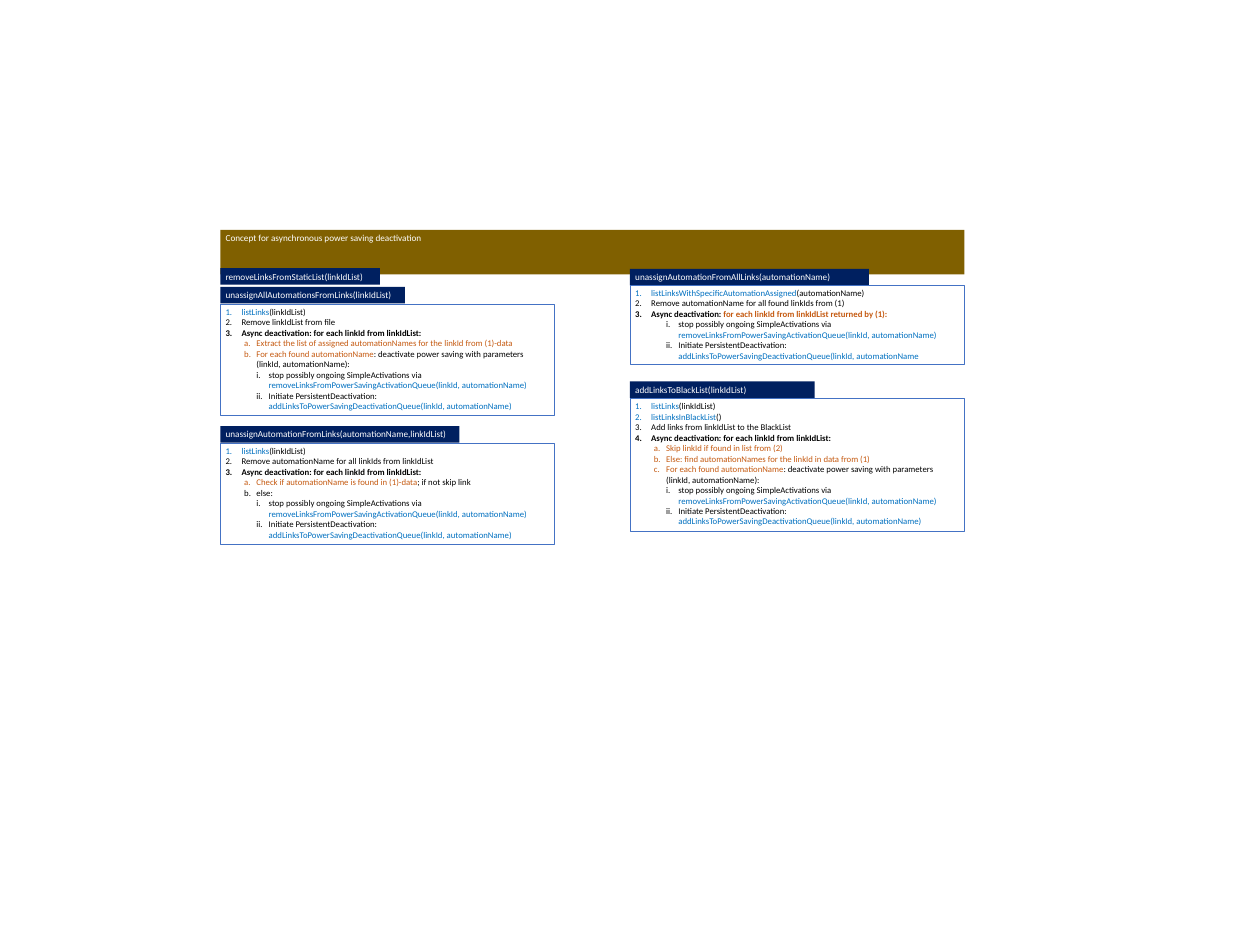
"""Build the slide on asynchronous power saving deactivation."""
from lxml.etree import SubElement
from pptx import Presentation
from pptx.dml.color import RGBColor as Rgb
from pptx.enum.shapes import MSO_SHAPE as Shape
from pptx.enum.text import MSO_ANCHOR as Anchor, MSO_AUTO_SIZE as Fit, PP_ALIGN as Align
from pptx.oxml.ns import qn
from pptx.util import Pt

PX = 9144
HEX = {"navy": "002060", "gold": "806000", "edge": "4472C4", "white": "FFFFFF",
       "black": "000000", "blue": "0070C0", "rust": "C55A11"}
MARKS = [("arabicPeriod", 30, -30), ("alphaLcPeriod", 58, -23), ("romanLcPeriod", 81, -23)]


def style(shape, place, fill=None, line=None):
    shape.left, shape.top, shape.width, shape.height = [n * PX for n in place]
    if fill:
        shape.fill.solid()
        shape.fill.fore_color.rgb = Rgb.from_string(HEX[fill])
    else:
        shape.fill.background()
    if line:
        shape.line.color.rgb = Rgb.from_string(HEX[line])
        shape.line.width = Pt(0.75)
    else:
        shape.line.fill.background()
    shape.shadow.inherit = False
    frame = shape.text_frame
    frame.word_wrap = True
    frame.auto_size = Fit.SHAPE_TO_FIT_TEXT
    frame.vertical_anchor = Anchor.TOP


def write(shape, *parts, size=12.4, bold=False, level=None):
    frame = shape.text_frame
    para = frame.paragraphs[0] if not frame.text else frame.add_paragraph()
    para.alignment = Align.LEFT
    if level is not None:
        kind, left, hang = MARKS[level]
        para.level = level
        props = para._p.get_or_add_pPr()
        props.set("marL", str(left * PX))
        props.set("indent", str(hang * PX))
        SubElement(props, qn("a:buFont"), typeface="+mj-lt")
        SubElement(props, qn("a:buAutoNum"), type=kind)
    for text, color in parts:
        run = para.add_run()
        run.text = text
        run.font.name = "Calibri"
        run.font.size = Pt(size)
        run.font.bold = bold
        run.font.color.rgb = Rgb.from_string(HEX[color])


deck = Presentation()
deck.slide_width, deck.slide_height = 2362 * PX, 1772 * PX
slide = deck.slides.add_slide(deck.slide_layouts[5])

title = slide.shapes.title
style(title, (413, 431, 1395, 31), fill="gold")
write(title, ("Concept for asynchronous power saving deactivation", "white"))

heads = [
    (413, 503, 299, "removeLinksFromStaticList(linkIdList)"),
    (413, 538, 346, "unassignAllAutomationsFromLinks(linkIdList)"),
    (413, 799, 448, "unassignAutomationFromLinks(automationName,linkIdList)"),
    (1181, 504, 448, "unassignAutomationFromAllLinks(automationName)"),
    (1181, 715, 346, "addLinksToBlackList(linkIdList)"),
]
for left, top, width, text in heads:
    head = slide.shapes.add_shape(Shape.RECTANGLE, 0, 0, PX, PX)
    style(head, (left, top, width, 31), fill="navy")
    write(head, (text, "white"))

fetch = (0, ("listLinks", "blue"), ("(linkIdList)", "black"))
start = (0, ("Async deactivation: for each linkId from linkIdList:", "black"))
found = (1, ("For each found automationName", "rust"),
         (": deactivate power saving with parameters (linkId, automationName):", "black"))
stop = (2, ("stop possibly ongoing SimpleActivations via ", "black"),
        ("removeLinksFromPowerSavingActivationQueue(linkId, automationName)", "blue"))
begin = ("Initiate PersistentDeactivation: ", "black")
queue = "addLinksToPowerSavingDeactivationQueue(linkId, automationName"
last = (2, begin, (queue + ")", "blue"))

boxes = [
    (413, 570, 209, [
        fetch,
        (0, ("Remove linkIdList from file", "black")),
        start,
        (1, ("Extract the list of assigned automationNames for the linkId from (1)-data", "rust")),
        found, stop, last]),
    (413, 831, 189, [
        fetch,
        (0, ("Remove automationName for all linkIds from linkIdList", "black")),
        start,
        (1, ("Check if automationName is found in (1)-data", "rust"), ("; if not skip link", "black")),
        (1, ("else:", "black")),
        stop, last]),
    (1181, 534, 149, [
        (0, ("listLinksWithSpecificAutomationAssigned", "blue"), ("(automationName)", "black")),
        (0, ("Remove automationName for all found linkIds from (1)", "black")),
        (0, ("Async deactivation: ", "black"),
         ("for each linkId from linkIdList returned by (1):", "rust")),
        stop,
        (2, begin, (queue, "blue"))]),
    (1181, 747, 249, [
        fetch,
        (0, ("listLinksInBlackList", "blue"), ("()", "black")),
        (0, ("Add links from linkIdList to the BlackList", "black")),
        start,
        (1, ("Skip linkId if found in list from (2)", "rust")),
        (1, ("Else: find automationNames for the linkId in data from (1)", "rust")),
        found, stop, last]),
]
for left, top, height, steps in boxes:
    box = slide.shapes.add_shape(Shape.RECTANGLE, 0, 0, PX, PX)
    style(box, (left, top, 627, height), line="edge")
    for level, *parts in steps:
        write(box, *parts, size=11.8, level=level, bold=parts[0][0].startswith("Async"))

deck.save("out.pptx")
